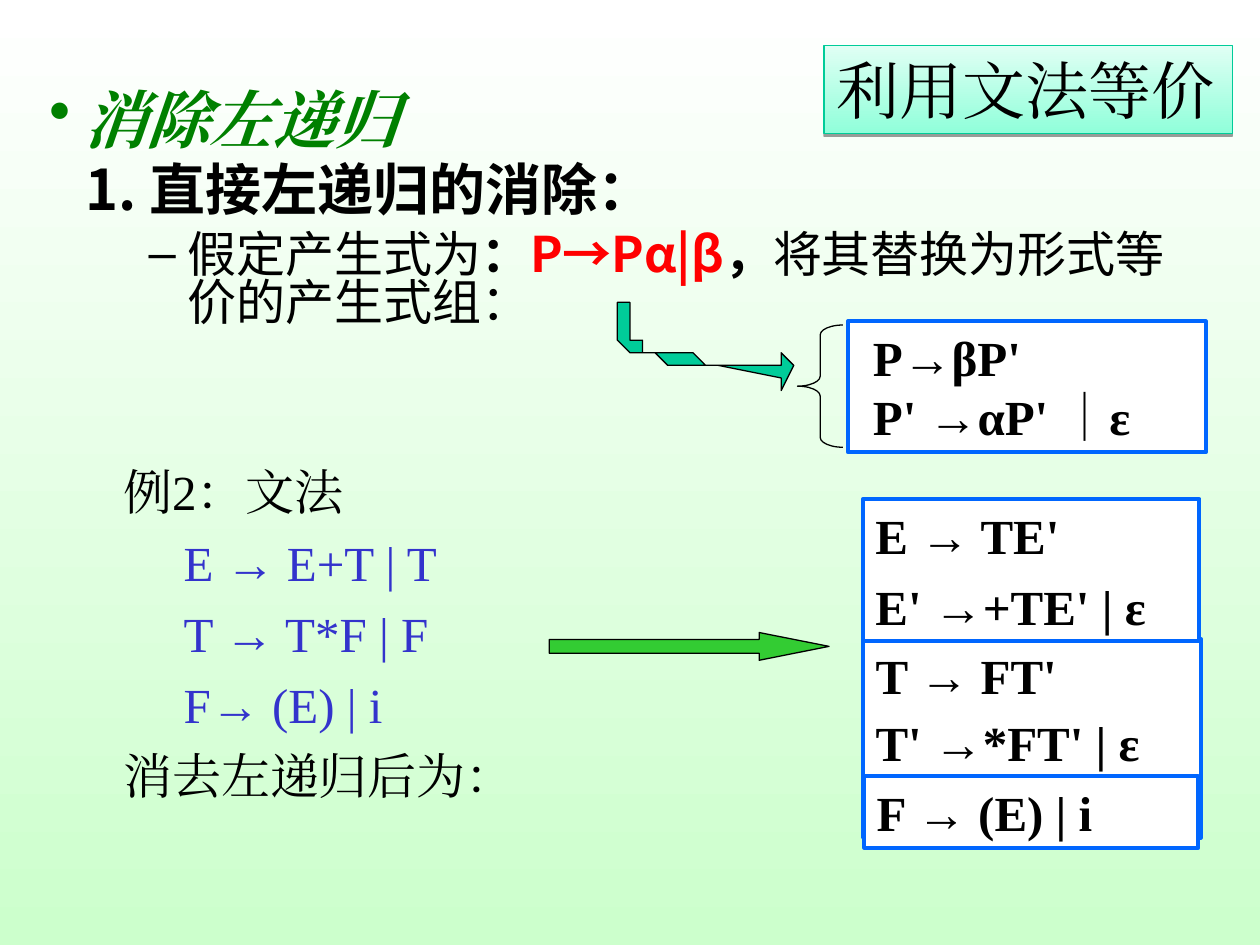
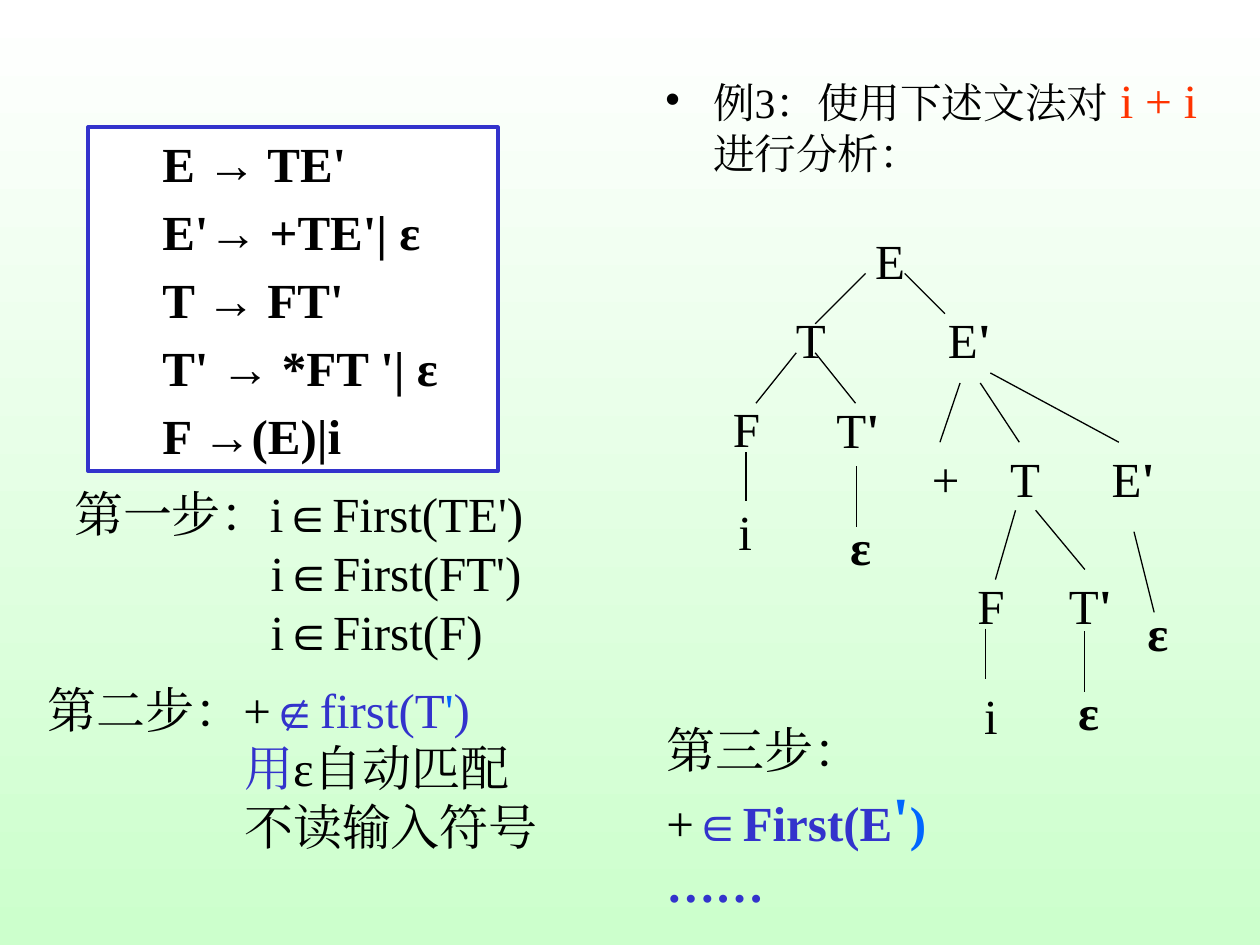
from dataclasses import dataclass
from typing import NamedTuple, Optional

from lxml.etree import SubElement
from pptx import Presentation
from pptx.dml.color import RGBColor
from pptx.enum.lang import MSO_LANGUAGE_ID
from pptx.enum.shapes import MSO_CONNECTOR, MSO_SHAPE
from pptx.enum.text import MSO_ANCHOR, MSO_AUTO_SIZE, PP_ALIGN
from pptx.oxml.ns import qn
from pptx.util import Inches, Pt

WIDTH, HEIGHT = Inches(10), Inches(7.5)
COLUMN, ROW = WIDTH / 100, HEIGHT / 75

COLORS = {
    "black": "000000", "white": "FFFFFF", "mint": "CCFFCC", "green": "008000",
    "red": "FF0000", "orange": "FF3300", "indigo": "3333CC", "blue": "0066FF",
    "arrow": "33CC33", "teal": "00CC99", "label_low": "90FFDA", "label_high": "E0FFF4",
}
SERIF, SANS, ARROW_FONT = "Times New Roman", "Noto Sans CJK SC", "Arial"
CONTENT_LAYOUT = 1


class Area(NamedTuple):
    """Left, top, width and height in grid columns and rows."""
    left: float
    top: float
    columns: float
    rows: float

    def lengths(self) -> tuple:
        return (round(self.left * COLUMN), round(self.top * ROW),
                round(self.columns * COLUMN), round(self.rows * ROW))


@dataclass
class Run:
    text: str
    color: str = "black"
    size: float = 28
    font: str = SERIF
    bold: bool = False
    italic: bool = False


@dataclass
class Line:
    """One paragraph; margin and hanging are in columns."""
    runs: list
    before: float = 0
    margin: float = 0
    hanging: float = 0
    bullet: str = ""
    level: int = 0
    align: PP_ALIGN = PP_ALIGN.LEFT
    spacing: float = 1.0


class Box(NamedTuple):
    area: Area
    lines: list
    border: Optional[str] = None


class Node(NamedTuple):
    label: str
    center: float
    top: float


class Branch(NamedTuple):
    x1: float
    y1: float
    x2: float
    y2: float


def rgb(name: str) -> RGBColor:
    return RGBColor.from_string(COLORS[name])


def production(text: str, before: float = 0, margin: float = 0,
               color: str = "black", bold: bool = True) -> Line:
    """A grammar rule whose arrow is set in its own font."""
    left, right = text.split("→")
    return Line([Run(left, color, bold=bold), Run("→", color, font=ARROW_FONT, bold=bold),
                 Run(right, color, bold=bold)], before, margin)


def productions(texts: list, before: float, **style) -> list:
    return [production(text, before if index else 0, **style)
            for index, text in enumerate(texts)]


def set_bullet(paragraph, line: Line) -> None:
    properties = paragraph._p.get_or_add_pPr()
    properties.set("marL", str(round(line.margin * COLUMN)))
    properties.set("indent", str(round(-line.hanging * COLUMN)))
    if line.bullet:
        color = SubElement(properties, qn("a:buClr"))
        SubElement(color, qn("a:srgbClr"), val=COLORS[line.runs[0].color])
        SubElement(properties, qn("a:buChar"), char=line.bullet)
    else:
        SubElement(properties, qn("a:buNone"))


def write(shape, lines: list, wrap: bool = True) -> None:
    frame = shape.text_frame
    frame.auto_size = MSO_AUTO_SIZE.NONE
    frame.word_wrap = wrap
    for index, line in enumerate(lines):
        paragraph = frame.add_paragraph() if index else frame.paragraphs[0]
        paragraph.level = line.level
        set_bullet(paragraph, line)
        paragraph.alignment = line.align
        paragraph.space_before = Pt(line.before)
        paragraph.line_spacing = line.spacing
        for part in line.runs:
            run = paragraph.add_run()
            run.text = part.text
            font = run.font
            font.size, font.bold, font.italic = Pt(part.size), part.bold, part.italic
            font.language_id = MSO_LANGUAGE_ID.SIMPLIFIED_CHINESE
            font.color.rgb = rgb(part.color)
            font.name = part.font
            SubElement(run._r.get_or_add_rPr(), qn("a:ea"), typeface=part.font)


def fill_placeholder(shape, area: Area, lines: list) -> None:
    shape.left, shape.top, shape.width, shape.height = area.lengths()
    write(shape, lines)


def style_outline(shape, fill: Optional[str], border: str, weight: float) -> None:
    shape.shadow.inherit = False
    if fill:
        shape.fill.solid()
        shape.fill.fore_color.rgb = rgb(fill)
    else:
        shape.fill.background()
    shape.line.color.rgb = rgb(border)
    shape.line.width = Pt(weight)


def add_preset(slide, kind, area: Area, fill: Optional[str], border: str = "black",
               weight: float = 0.75, adjustments: tuple = ()):
    shape = slide.shapes.add_shape(kind, *area.lengths())
    style_outline(shape, fill, border, weight)
    for index, value in enumerate(adjustments):
        shape.adjustments[index] = value
    return shape


def add_box(slide, box: Box) -> None:
    if box.border:
        shape = add_preset(slide, MSO_SHAPE.RECTANGLE, box.area, "white", box.border, 2.25)
        shape.text_frame.vertical_anchor = MSO_ANCHOR.TOP
    else:
        shape = slide.shapes.add_textbox(*box.area.lengths())
    write(shape, box.lines)


def bezier(start: tuple, first: tuple, second: tuple, end: tuple, steps: int = 16) -> list:
    """Points along a cubic curve, without its start."""
    shares = [step / steps for step in range(1, steps + 1)]
    return [tuple((1 - t) ** 3 * a + 3 * (1 - t) ** 2 * t * b + 3 * (1 - t) * t ** 2 * c + t ** 3 * d
                  for a, b, c, d in zip(start, first, second, end)) for t in shares]


def add_curved_arrow(slide) -> None:
    points = [(63.4, 29.4), (62, 30.8), (62.1, 29.5), (57.1, 29.1)]
    points += bezier(points[-1], (52.5, 28.8), (48.7, 27.7), (48.8, 26.8))
    points += [(49, 24.4), (50.1, 24.4), (50, 26.8)]
    points += bezier(points[-1], (49.9, 27.6), (53.1, 28.4), (57.2, 28.7))
    points += [(62.1, 29.1), (62.2, 27.7)]
    builder = slide.shapes.build_freeform(*points[0], scale=(COLUMN, ROW))
    builder.add_line_segments(points[1:], close=True)
    style_outline(builder.convert_to_shape(), "teal", "black", 0.75)


def set_gradient(fill, first: str, last: str, angle: float) -> None:
    fill.gradient()
    fill.gradient_angle = angle
    for stop, color in zip(fill.gradient_stops, (first, last)):
        stop.color.rgb = rgb(color)


def add_label(slide) -> None:
    label = add_preset(slide, MSO_SHAPE.RECTANGLE, Area(65.4, 3.6, 32.4, 7), "white", "teal")
    set_gradient(label.fill, "label_low", "label_high", 90)
    effects = label._element.spPr.find(qn("a:effectLst"))
    shadow = SubElement(effects, qn("a:outerShdw"), blurRad="0", dist=str(Pt(1.6)),
                        dir="5400000", rotWithShape="0")
    color = SubElement(shadow, qn("a:srgbClr"), val=COLORS["black"])
    SubElement(color, qn("a:alpha"), val="38000")
    label.text_frame.vertical_anchor = MSO_ANCHOR.TOP
    write(label, [Line([Run("利用文法等价", size=36)])])


def add_node(slide, node: Node) -> None:
    area = Area(node.center - 3, node.top, 6, 5.7)
    runs = [Run(letter, bold=letter in "'ε") for letter in node.label]
    write(slide.shapes.add_textbox(*area.lengths()), [Line(runs, align=PP_ALIGN.CENTER)], wrap=False)


def add_branch(slide, branch: Branch) -> None:
    connector = slide.shapes.add_connector(
        MSO_CONNECTOR.STRAIGHT, round(branch.x1 * COLUMN), round(branch.y1 * ROW),
        round(branch.x2 * COLUMN), round(branch.y2 * ROW))
    connector.line.color.rgb = rgb("black")
    connector.line.width = Pt(0.75)
    SubElement(connector._element.spPr, qn("a:effectLst"))


def build_left_recursion(presentation) -> None:
    slide = presentation.slides.add_slide(presentation.slide_layouts[CONTENT_LAYOUT])
    title, body = slide.placeholders
    fill_placeholder(title, Area(2.9, 4.8, 92.5, 9.2), [
        Line([Run("消除左递归", "green", 36, bold=True, italic=True)],
             margin=2.7, hanging=2.7, bullet="•")])
    fill_placeholder(body, Area(5.8, 12.7, 88.2, 27.6), [
        Line([Run("1. 直接左递归的消除：", size=32, font=SANS, bold=True)],
             margin=3.8, hanging=3.8, spacing=0.82),
        Line([Run("假定产生式为", font=SANS), Run("：", font=SANS, bold=True),
              Run("P→Pα|β", "red", font=SANS, bold=True), Run("，", font=SANS, bold=True),
              Run("将其替换为形式等价的产生式组：", font=SANS)],
             before=7, margin=8.1, hanging=3.1, bullet="–", level=1, spacing=0.82)])

    grammar = ["E → E+T | T", "T → T*F | F", "F→ (E) | i"]
    add_box(slide, Box(Area(8.8, 36.1, 37.8, 28.3), [
        Line([Run("例2：文法")]),
        *[production(text, 7, 4.8, "indigo", False) for text in grammar],
        Line([Run("消去左递归后为：")], before=7)]))
    add_box(slide, Box(Area(68.5, 50.7, 26.8, 15.8),
                       productions(["T → FT'", "T' →*FT' | ε"], 5.2), "blue"))
    add_preset(slide, MSO_SHAPE.RIGHT_ARROW, Area(43.6, 50.2, 22.2, 2.2), "arrow",
               adjustments=(0.5, 2.52))
    add_preset(slide, MSO_SHAPE.LEFT_BRACE, Area(63.3, 25.8, 3.6, 9.7), None,
               adjustments=(0.22, 0.5))
    replacement = [Line([Run(text, bold=True)], margin=1) for text in ("P→βP'", "P' →αP' ｜ε")]
    for box in (
        Box(Area(67.3, 25.5, 28.4, 10.4), replacement, "blue"),
        Box(Area(68.5, 39.6, 26.7, 11.3), productions(["E → TE'", "E' →+TE' | ε"], 7), "blue"),
        Box(Area(68.6, 61.6, 26.5, 5.7), productions(["F → (E) | i"], 0), "blue"),
    ):
        add_box(slide, box)
    add_curved_arrow(slide)
    add_label(slide)


def build_parse_example(presentation) -> None:
    slide = presentation.slides.add_slide(presentation.slide_layouts[CONTENT_LAYOUT])
    title, body = slide.placeholders
    title._element.getparent().remove(title._element)
    fill_placeholder(body, Area(51.8, 5.1, 44.4, 10.1), [
        Line([Run("例3：使用下述文法对", size=23.8), Run(" i + i", "orange", 27.2),
              Run(" 进行分析：", size=23.8)], margin=3.8, hanging=3.8, bullet="•")])

    grammar = ["E → TE'", "E'→ +TE'| ε", "T → FT'", "T' → *FT '| ε", "F →(E)|i"]
    step_margin = 15.6
    for box in (
        Box(Area(7, 10.1, 32.5, 27.3), productions(grammar, 5.2, margin=4.9), "indigo"),
        Box(Area(4.9, 37.9, 42, 15), [
            Line([Run("第一步：i∈First(TE')")]),
            Line([Run("i∈First(FT')")], margin=step_margin),
            Line([Run("i∈First(F)")], margin=step_margin)]),
        Box(Area(51.9, 56.6, 38, 11.7), [
            Line([Run("第三步：")]),
            Line([Run("+"), Run("∈First(E", "indigo", bold=True),
                  Run("'", "blue", 36, bold=True), Run(")", "blue", bold=True)]),
            Line([Run("……", "indigo", bold=True)])]),
        Box(Area(2.8, 53.4, 43.1, 15), [
            Line([Run("第二步：+"), Run("∉", "indigo", font=ARROW_FONT),
                  Run("first(T", "indigo"), Run("'", "blue"), Run(")", "indigo")]),
            Line([Run("用", "indigo"), Run("ε自动匹配")], margin=step_margin),
            Line([Run("不读输入符号")], margin=step_margin)]),
    ):
        add_box(slide, box)

    for node in (
        Node("E", 70.65, 17.8), Node("T", 64.35, 24.1), Node("E'", 76.95, 24.1),
        Node("F", 59.25, 31.1), Node("T'", 68.1, 31.2), Node("i", 59.15, 39.3),
        Node("ε", 68.3, 40.5), Node("+", 75.05, 35.1), Node("T", 81.35, 35.1),
        Node("E'", 89.95, 35.1), Node("F", 78.65, 45.2), Node("T'", 86.55, 45.2),
        Node("i", 78.65, 53.9), Node("ε", 86.4, 53.6), Node("ε", 91.9, 47.3),
    ):
        add_node(slide, node)
    for branch in (
        Branch(68.7, 21.7, 64.7, 25.7), Branch(71.8, 21.7, 75, 24.9),
        Branch(63.2, 28, 60, 32), Branch(64.7, 28, 67.9, 32),
        Branch(59.2, 35.9, 59.2, 39.8), Branch(68, 37, 68, 41.8),
        Branch(76.2, 30.4, 74.6, 35.1), Branch(77.8, 30.4, 80.9, 35.1),
        Branch(78.6, 29.6, 88.8, 35.1), Branch(80.6, 40.5, 79, 46),
        Branch(82.2, 40.5, 86.1, 45.2), Branch(78.2, 49.9, 78.2, 53.9),
        Branch(86.1, 50.1, 86.1, 54.9), Branch(90, 42.2, 91.6, 48.6),
    ):
        add_branch(slide, branch)


def main() -> None:
    presentation = Presentation()
    presentation.slide_width, presentation.slide_height = WIDTH, HEIGHT
    set_gradient(presentation.slide_master.background.fill, "white", "mint", 270)
    build_left_recursion(presentation)
    build_parse_example(presentation)
    presentation.save("out.pptx")


if __name__ == "__main__":
    main()
